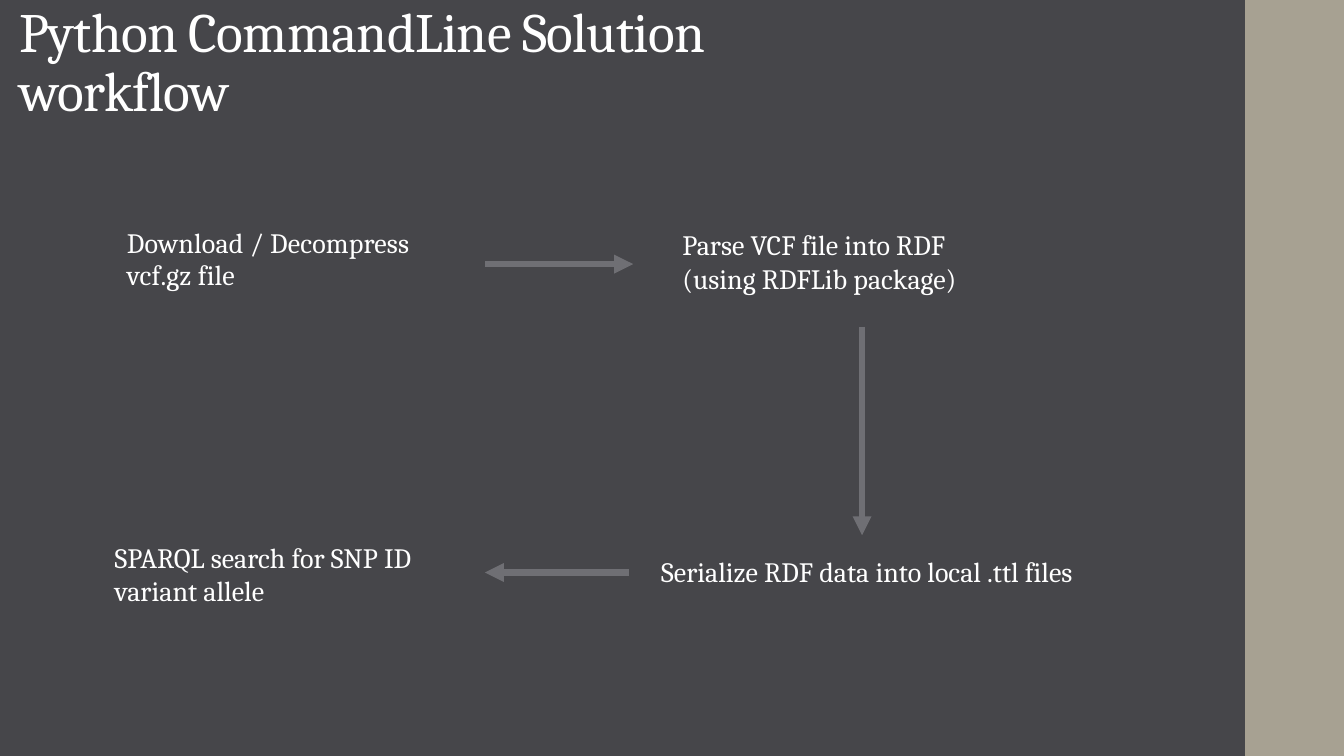
import pptx
import pptx.util
import pptx.dml.color
import pptx.enum.shapes
import pptx.enum.text
import pptx.oxml.ns
import lxml.etree

RGB = pptx.dml.color.RGBColor
DARK = RGB(0x46, 0x46, 0x4A)
SAND = RGB(0xA7, 0xA1, 0x92)
GREY = RGB(0x6F, 0x6F, 0x74)
WHITE = RGB(0xFF, 0xFF, 0xFF)
FONT = "Cambria"
WIDE = pptx.util.Inches(13.33)
HIGH = pptx.util.Inches(7.5)

# Steps: text, box in percent of the slide, line spacing, letter spacing
STEPS = [
    ("Download / Decompress vcf.gz file", (8.7, 29.47, 25.06, 11.33), 0.95, 10),
    ("Parse VCF file into RDF (using RDFLib package)",
     (50.04, 29.47, 26.48, 10.93), 1.0, 0),
    ("Serialize RDF data into local .ttl files",
     (48.46, 72.67, 37.58, 6.13), 1.0, 0),
    ("SPARQL search for SNP ID variant allele",
     (7.8, 70.8, 27.38, 13.87), 1.0, 0),
]

# Arrows: start and end in percent of the slide
LEFT, TOP, LOW, DOWN = 36.08, 34.93, 75.73, 64.14
ARROWS = [
    (LEFT, TOP, 47.11, TOP),
    (DOWN, 43.2, DOWN, 70.8),
    (46.81, LOW, LEFT, LOW),
]


def place(*shares):
    """Turn x, y, x, y percentages into slide lengths."""
    sides = (WIDE, HIGH, WIDE, HIGH)
    return [round(side * share / 100) for side, share in zip(sides, shares)]


def add_text(slide, text, box, size, lines=1.0, track=0, middle=False):
    frame = slide.shapes.add_textbox(*place(*box)).text_frame
    frame.word_wrap = True
    if middle:
        frame.vertical_anchor = pptx.enum.text.MSO_ANCHOR.MIDDLE
    para = frame.paragraphs[0]
    para.line_spacing = lines
    run = para.add_run()
    run.text = text
    font = para.font
    font.name, font.size = FONT, pptx.util.Pt(size)
    font.color.rgb = WHITE
    if track:
        run.font._element.set("spc", str(track))


def add_arrow(slide, ends):
    kind = pptx.enum.shapes.MSO_CONNECTOR.STRAIGHT
    arrow = slide.shapes.add_connector(kind, *place(*ends))
    arrow.line.color.rgb = GREY
    arrow.line.width = pptx.util.Pt(4.5)
    name = pptx.oxml.ns.qn
    line = arrow.line._get_or_add_ln()
    lxml.etree.SubElement(line, name("a:tailEnd"), type="triangle")
    lxml.etree.SubElement(line.getparent(), name("a:effectLst"))


def add_band(slide, box):
    kind = pptx.enum.shapes.MSO_SHAPE.RECTANGLE
    band = slide.shapes.add_shape(kind, *place(*box))
    band.shadow.inherit = False
    band.fill.solid()
    band.fill.fore_color.rgb = SAND
    band.line.fill.background()


def main():
    deck = pptx.Presentation()
    deck.slide_width, deck.slide_height = WIDE, HIGH
    slide = deck.slides.add_slide(deck.slide_layouts[6])

    # Background and side band
    slide.background.fill.solid()
    slide.background.fill.fore_color.rgb = DARK
    add_band(slide, (92.65, 0, 7.35, 100))

    # Title
    add_text(slide, "Python CommandLine Solution workflow",
             (0.68, 0.27, 58.74, 16.4), 39.6, 0.9, -50, middle=True)

    # Workflow
    for text, box, lines, track in STEPS:
        add_text(slide, text, box, 20, lines, track)
    for ends in ARROWS:
        add_arrow(slide, ends)

    deck.save("out.pptx")


main()
